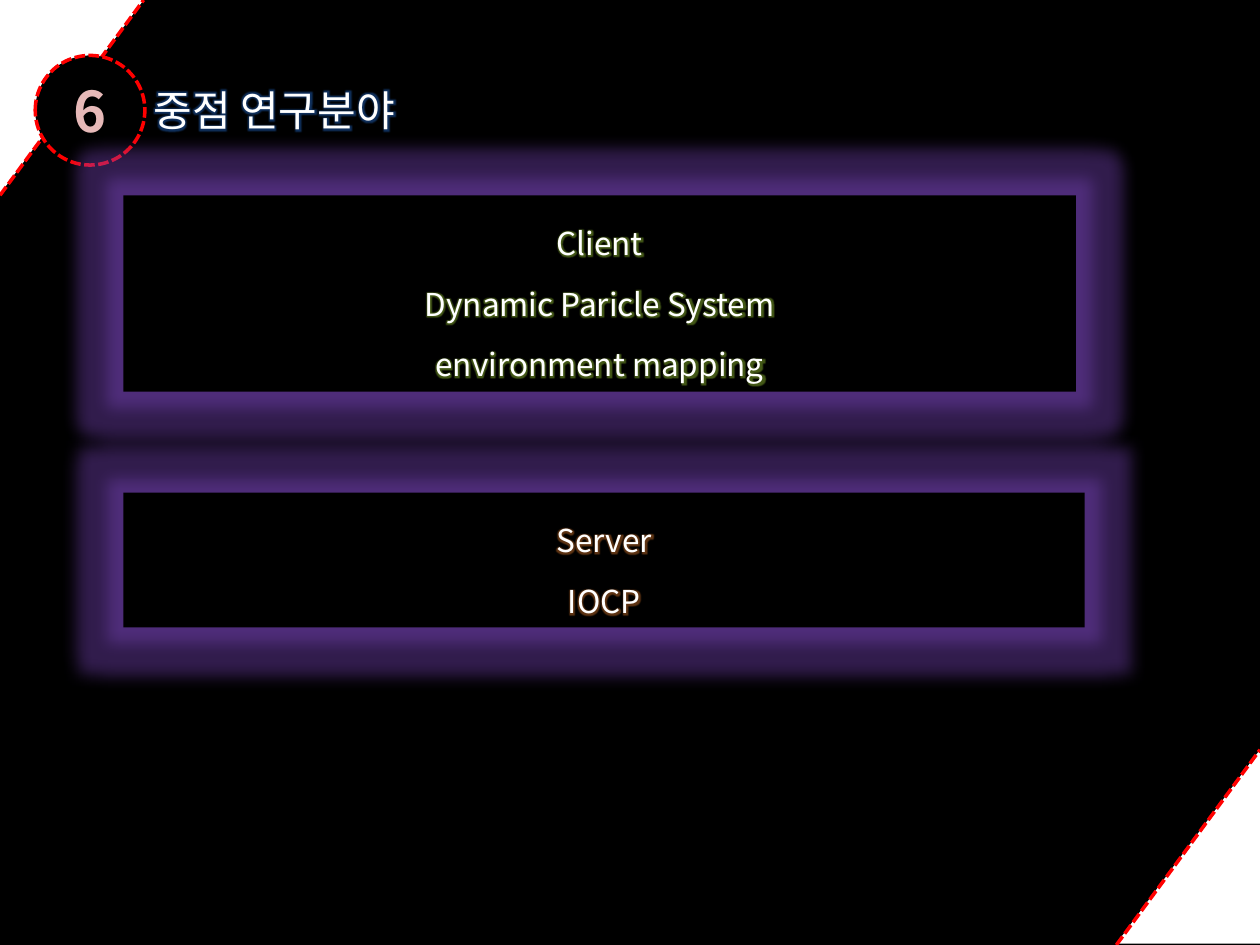
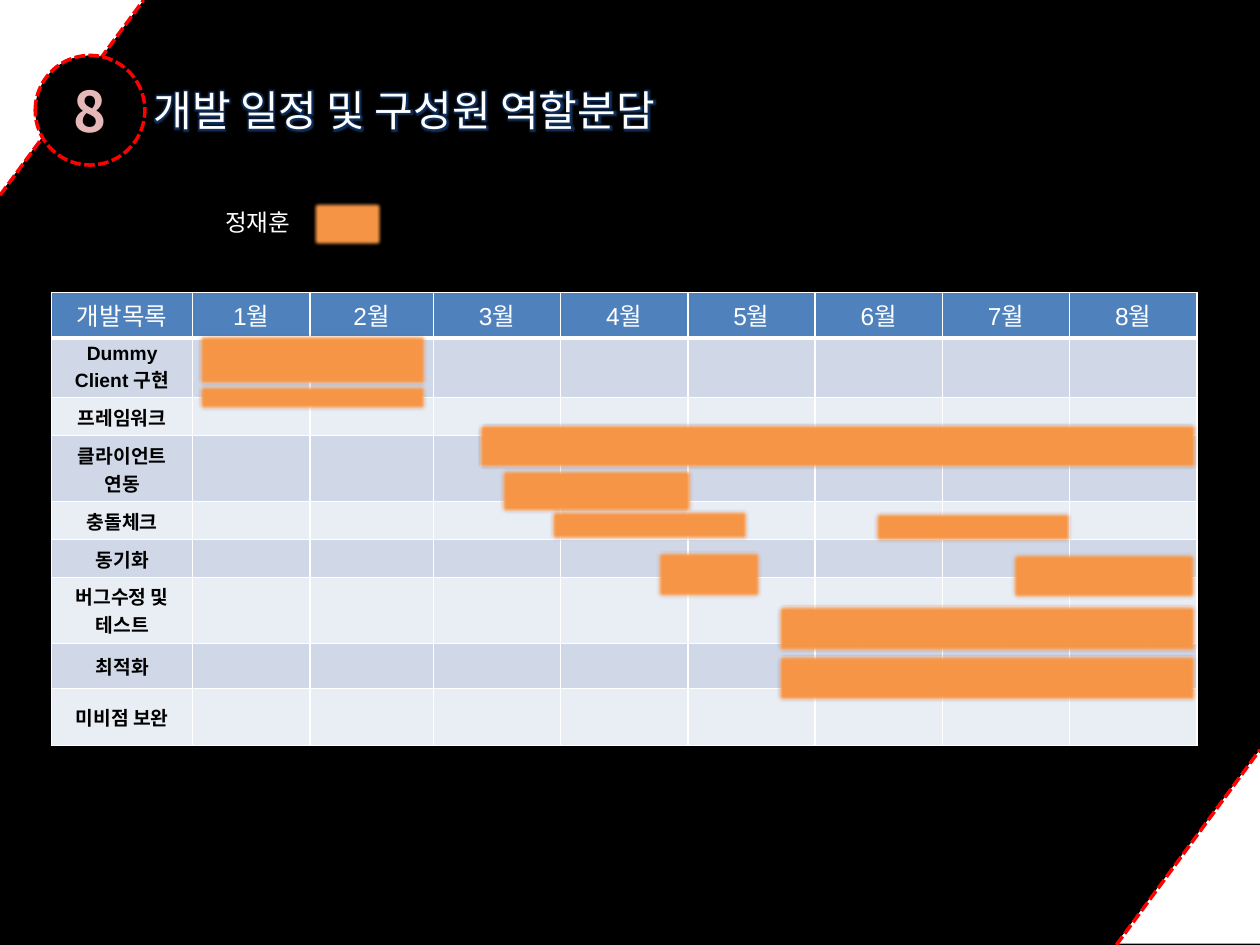
import pptx
import pptx.util
import pptx.dml.color
import pptx.enum.dml
import pptx.enum.shapes
import pptx.enum.text
import pptx.oxml
import pptx.oxml.ns

Inches = pptx.util.Inches
Pt = pptx.util.Pt
RGBColor = pptx.dml.color.RGBColor
Shape = pptx.enum.shapes.MSO_SHAPE
Align = pptx.enum.text.PP_ALIGN
Anchor = pptx.enum.text.MSO_ANCHOR
qn = pptx.oxml.ns.qn

BLACK = RGBColor(0x00, 0x00, 0x00)
WHITE = RGBColor(0xFF, 0xFF, 0xFF)
RED = RGBColor(0xFF, 0x00, 0x00)
PINK = RGBColor(0xE6, 0xB9, 0xB8)
BRICK = RGBColor(0xC0, 0x50, 0x4D)
BLUE = RGBColor(0x4F, 0x81, 0xBD)
PALE = RGBColor(0xD0, 0xD8, 0xE8)
LIGHT = RGBColor(0xE9, 0xED, 0xF4)
ORANGE = RGBColor(0xF7, 0x96, 0x46)
PLUM = RGBColor(0x5F, 0x4A, 0x78)
BLUE_GLOW = RGBColor(0x28, 0x7A, 0xEA)
GREEN_GLOW = RGBColor(0xA8, 0xDC, 0x38)
RUST_GLOW = RGBColor(0xF0, 0x84, 0x30)
PLUM_GLOW = RGBColor(0x7B, 0x46, 0xBE)

GOTHIC = "Noto Sans CJK KR"
ARIAL = "Arial"

TITLE = dict(name=GOTHIC, size=Pt(24), color=WHITE)
DIGIT = dict(name=GOTHIC, size=Pt(32), color=PINK, bold=True)
TOPIC = dict(name=GOTHIC, size=Pt(18), color=WHITE)
LABEL = dict(name=GOTHIC, size=Pt(13.5), color=WHITE)
HEAD = dict(name=ARIAL, size=Pt(14), color=WHITE, bold=False)
TASK = dict(name=ARIAL, size=Pt(11), color=BLACK, bold=True)

TASKS = ["Dummy\nClient 구현", "프레임워크", "클라이언트 연동", "충돌체크",
         "동기화", "버그수정 및 테스트", "최적화", "미비점 보완"]
WIDTHS = [1.12, 0.93, 0.98] + [1.01] * 6
HEIGHTS = [0.3, 0.42, 0.28, 0.44, 0.28, 0.28, 0.48, 0.36, 0.45]
BARS = [(1.57, 2.65, 1.82, 0.41), (1.57, 3.05, 1.82, 0.21),
        (3.8, 3.36, 5.7, 0.36), (3.97, 3.72, 1.53, 0.36),
        (4.37, 4.04, 1.57, 0.25), (5.21, 4.37, 0.84, 0.38),
        (6.17, 5.19, 3.33, 0.38), (6.17, 4.8, 3.33, 0.38),
        (8.03, 4.38, 1.47, 0.38), (6.94, 4.06, 1.57, 0.25)]


def make(tag, inner="", **attrs):
    """Return a DrawingML element with the given content."""
    text = "".join(f' {key}="{val}"' for key, val in attrs.items())
    space = pptx.oxml.ns.nsdecls("a")
    return pptx.oxml.parse_xml(f"<a:{tag} {space}{text}>{inner}</a:{tag}>")


def solid(color):
    return f'<a:solidFill><a:srgbClr val="{color}"/></a:solidFill>'


def glow(color, size):
    return (f'<a:glow rad="{Pt(size)}"><a:srgbClr val="{color}">'
            '<a:alpha val="40000"/></a:srgbClr></a:glow>')


class Deck:
    """Holds the shared style and the slide being drawn."""

    def __init__(self):
        self.prs = pptx.Presentation()
        self.prs.slide_width = Inches(10)
        self.prs.slide_height = Inches(7.5)
        fill = self.prs.slide_master.background.fill
        fill.solid()
        fill.fore_color.rgb = BLACK
        self.slide = None

    def begin(self):
        self.slide = self.prs.slides.add_slide(self.prs.slide_layouts[6])

    def text(self, frame, words, style, align=Align.LEFT, space=None, halo=None, edge=None):
        """Fill a text frame, one paragraph a line; halo and edge are colours."""
        for num, line in enumerate(words.split("\n")):
            para = frame.add_paragraph() if num else frame.paragraphs[0]
            para.alignment = align
            para.line_spacing = space
            run = para.add_run()
            run.text = line
            for key, val in style.items():
                if key == "color":
                    run.font.color.rgb = val
                else:
                    setattr(run.font, key, val)
            props = run.font._element
            if style["name"] == GOTHIC:
                props.find(qn("a:latin")).addnext(make("ea", typeface=GOTHIC))
            if halo:
                props.find(qn("a:solidFill")).addnext(make("effectLst", glow(halo, 5)))
            if edge:
                props.insert(0, make("ln", solid(edge), w=Pt(1.75)))

    def shape(self, kind, box, fill, line=None, effect=None):
        shape = self.slide.shapes.add_shape(kind, *map(Inches, box))
        shape.shadow.inherit = False
        shape.fill.solid()
        shape.fill.fore_color.rgb = fill
        if line:
            shape.line.color.rgb = line
            shape.line.width = Pt(2)
        else:
            shape.line.fill.background()
        if effect:
            spot = shape._element.spPr.find(qn("a:effectLst"))
            spot.getparent().replace(spot, make("effectLst", effect))
        return shape

    def dash(self, line):
        line.dash_style = pptx.enum.dml.MSO_LINE.SQUARE_DOT
        line.color.rgb = RED
        line.width = Pt(2)

    def line(self, *ends):
        line = self.slide.shapes.add_connector(
            pptx.enum.shapes.MSO_CONNECTOR.STRAIGHT, *map(Inches, ends))
        self.dash(line.line)
        line._element.spPr.append(make("effectLst"))

    def corner(self, left, top, turn):
        shape = self.shape(Shape.ISOSCELES_TRIANGLE, (left, top, 1.14, 1.54), WHITE)
        shape.adjustments[0] = 0
        shape.rotation = turn
        shape._element.spPr.find(qn("a:xfrm")).set("flipV", "1")

    def label(self, box, words, style, wrap=True, **opts):
        frame = self.slide.shapes.add_textbox(*map(Inches, box)).text_frame
        frame.word_wrap = wrap
        self.text(frame, words, style, **opts)

    def frame(self, digit, title, width):
        """Draw the corners, the numbered badge and the title."""
        self.corner(0, 0, 0)
        self.corner(8.86, 5.95, 180)
        self.line(8.86, 7.5, 10, 5.95)
        self.label((1.12, 0.62, width, 0.5), title, TITLE, wrap=False, halo=BLUE_GLOW)
        self.line(0, 1.55, 1.14, 0)
        badge = self.shape(Shape.OVAL, (0.28, 0.44, 0.87, 0.87), BLACK, RED)
        self.dash(badge.line)
        badge.text_frame.vertical_anchor = Anchor.MIDDLE
        self.text(badge.text_frame, digit, DIGIT, Align.CENTER, edge=BRICK)

    def panel(self, box, words, halo):
        shape = self.shape(Shape.RECTANGLE, box, BLACK, effect=glow(PLUM_GLOW, 18))
        shape.text_frame.vertical_anchor = Anchor.TOP
        self.text(shape.text_frame, words, TOPIC, Align.CENTER, 1.6, halo)

    def bar(self, box):
        self.shape(Shape.RECTANGLE, box, ORANGE, PLUM,
                   f'<a:softEdge rad="{Pt(2.5)}"/>')

    def cell(self, cell, words, style, fill, base):
        """Fill one cell; base is the width of its bottom border."""
        sides = dict(margin_left=0.07, margin_right=0.07,
                     margin_top=0.04, margin_bottom=0.04)
        for key, val in sides.items():
            setattr(cell, key, Inches(val))
        cell.vertical_anchor = Anchor.MIDDLE
        cell.fill.solid()
        cell.fill.fore_color.rgb = fill
        props = cell._tc.get_or_add_tcPr()
        for num, side in enumerate("LRTB"):
            width = base if side == "B" else 1
            props.insert(num, make(f"ln{side}", solid(WHITE), w=Pt(width)))
        if words:
            self.text(cell.text_frame, words, style, Align.CENTER)
        else:
            cell.text_frame.paragraphs[0]._p.append(make("endParaRPr", sz=1100))

    def table(self, left, top, rows):
        table = self.slide.shapes.add_table(
            len(rows), len(WIDTHS), Inches(left), Inches(top),
            Inches(sum(WIDTHS)), Inches(sum(HEIGHTS))).table
        for col, width in zip(table.columns, WIDTHS):
            col.width = Inches(width)
        for num, (row, height) in enumerate(zip(table.rows, HEIGHTS)):
            row.height = Inches(height)
            style = TASK if num else HEAD
            fill = (LIGHT, PALE)[num % 2] if num else BLUE
            for cell, words in zip(row.cells, rows[num]):
                self.cell(cell, words, style, fill, 1 if num else 3)


def main():
    deck = Deck()

    deck.begin()
    deck.frame("6", "중점 연구분야", 2.34)
    deck.panel((0.98, 1.55, 7.56, 1.56),
               "Client\nDynamic Paricle System\nenvironment mapping", GREEN_GLOW)
    deck.panel((0.98, 3.91, 7.63, 1.07), "Server\nIOCP", RUST_GLOW)

    deck.begin()
    months = [f"{num}월" for num in range(1, 9)]
    deck.table(0.41, 2.32, [["개발목록"] + months]
               + [[task] + [""] * len(months) for task in TASKS])
    deck.frame("8", "개발 일정 및 구성원 역할분담", 4.72)
    deck.bar((2.48, 1.6, 0.56, 0.36))
    deck.label((1.69, 1.6, 0.79, 0.33), "정재훈", LABEL)
    for box in BARS:
        deck.bar(box)

    deck.prs.save("out.pptx")


if __name__ == "__main__":
    main()
